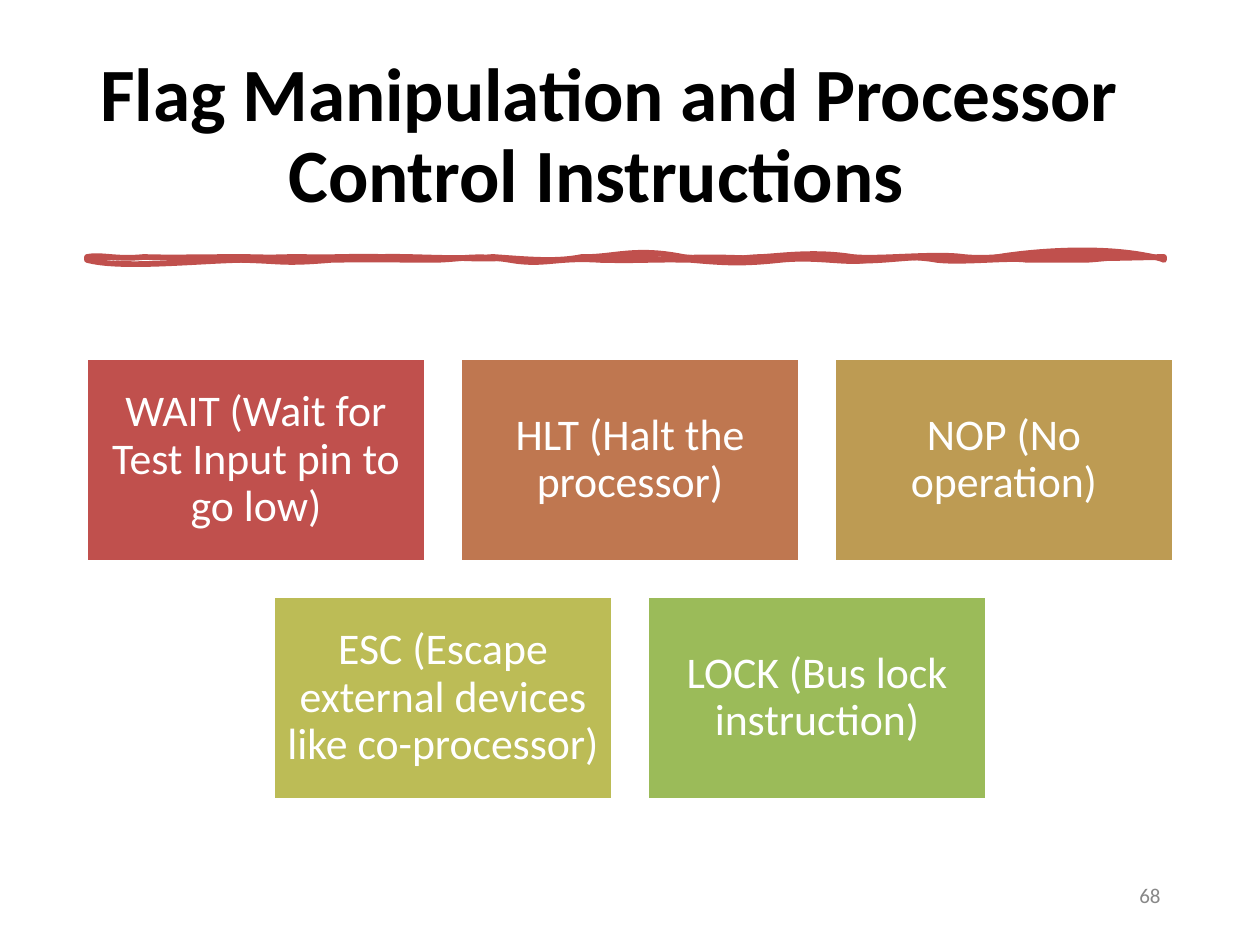
from lxml import etree
from pptx import Presentation
from pptx.dml.color import RGBColor
from pptx.enum.shapes import MSO_SHAPE
from pptx.enum.text import MSO_ANCHOR, PP_ALIGN
from pptx.oxml.ns import qn
from pptx.util import Pt

PX = 914400 / 126
RECTANGLE = MSO_SHAPE.RECTANGLE
MIDDLE = MSO_ANCHOR.MIDDLE
CENTER, RIGHT = PP_ALIGN.CENTER, PP_ALIGN.RIGHT
FONT = "Calibri"
COLORS = {
    "title": "000000", "number": "888888", "white": "FFFFFF", "red": "C0504D",
    "orange": "BF7750", "gold": "BD9B53", "olive": "BCBC56", "green": "9BBB59",
}
ROWS = [
    [("WAIT (Wait for Test Input pin to go low)", "red"),
     ("HLT (Halt the processor)", "orange"),
     ("NOP (No operation)", "gold")],
    [("ESC (Escape external devices like co-processor)", "olive"),
     ("LOCK (Bus lock instruction)", "green")],
]

# Brush edges: each curve is (control x, control dy, control x, control dy, end x)
STROKE_TOP = [
    (14, -3, 29, 3, 57), (78, 1, 123, 0, 158), (194, 1, 189, 0, 215),
    (242, 1, 271, -1, 294), (324, -1, 370, 3, 406), (446, 3, 470, 5, 495),
    (525, 1, 547, -10, 596), (639, 5, 660, 0, 675), (694, -1, 728, -6, 765),
    (790, 3, 847, -4, 876), (903, 3, 929, -3, 944), (964, 3, 1027, 1, 1077),
]
STROKE_BOTTOM = [
    (1061, -8, 1019, -1, 998), (976, 0, 959, 0, 940), (925, -3, 876, 3, 850),
    (829, -4, 806, -3, 782), (759, 4, 731, -4, 693), (655, 4, 639, 3, 604),
    (564, -1, 556, 1, 513), (469, -3, 457, 6, 423), (387, -6, 372, 0, 344),
    (318, 0, 286, -1, 244), (195, 4, 197, 1, 154), (108, 1, 33, 9, 0),
]
FILL_TOP = [
    (21, -1, 39, -1, 78), (118, -1, 113, 0, 136), (158, -3, 178, 1, 192),
    (207, -1, 231, 1, 247), (278, 1, 287, -3, 326), (364, 0, 373, -3, 406),
    (438, 5, 490, 0, 517), (552, -8, 566, 1, 585), (607, -5, 667, -1, 697),
    (732, 1, 752, 3, 808), (862, 3, 878, -3, 897), (920, -6, 1016, -18, 1077),
]
FILL_BOTTOM = [
    (1050, -3, 1037, -4, 1019), (1009, 4, 959, -6, 908), (862, 3, 866, -3, 840),
    (813, 0, 772, 8, 750), (722, -6, 677, -8, 639), (600, -1, 592, 0, 549),
    (508, 4, 520, 1, 491), (467, -1, 452, 4, 423), (396, 4, 368, -1, 312),
    (257, 1, 260, 1, 222), (185, -1, 181, -1, 154), (130, -11, 78, 1, 0),
]


def emu(px):
    return round(px * PX)


def color(name):
    return RGBColor.from_string(COLORS[name])


def style(paragraph, size, color_name, bold=False):
    paragraph.font.name = FONT
    paragraph.font.size = Pt(size)
    paragraph.font.bold = bold
    paragraph.font.color.rgb = color(color_name)


def add_text(slide, text, left, top, width, height):
    box = slide.shapes.add_textbox(emu(left), emu(top), emu(width), emu(height))
    box.text_frame.word_wrap = True
    paragraph = box.text_frame.paragraphs[0]
    paragraph.text = text
    return paragraph


def add_title(slide, left, top, width, height):
    paragraph = add_text(slide, "Flag Manipulation and Processor Control Instructions",
                         left, top, width, height)
    style(paragraph, 43, "title", bold=True)
    paragraph.line_spacing = 0.9
    # Hanging indent places the second line under the first
    properties = paragraph._p.get_or_add_pPr()
    properties.set("marL", str(emu(189)))
    properties.set("indent", str(-emu(188)))
    paragraph.runs[0]._r.get_or_add_rPr().set("spc", "-5")


def add_curve_path(path_list, width, thickness, upper, lower, **flags):
    """Add one closed outline: along the upper edge, back along the lower one."""
    path = etree.SubElement(path_list, qn("a:path"), w=str(emu(width)),
                            h=str(emu(thickness)), **flags)

    def add_command(tag, *points):
        command = etree.SubElement(path, qn(tag))
        for x, y in points:
            etree.SubElement(command, qn("a:pt"), x=str(emu(x)), y=str(emu(y)))

    add_command("a:moveTo", (0, 0))
    for y, curves in ((0, upper), (thickness, lower)):
        for x1, dy1, x2, dy2, end_x in curves:
            add_command("a:cubicBezTo", (x1, y + dy1), (x2, y + dy2), (end_x, y))
        if curves is upper:
            add_command("a:lnTo", (width, thickness))
    add_command("a:close")


def add_brush_rule(slide, left, top, width, thickness):
    builder = slide.shapes.build_freeform(emu(left), emu(top))
    builder.add_line_segments([(emu(left + width), emu(top)),
                               (emu(left + width), emu(top + thickness))])
    rule = builder.convert_to_shape()
    rule.shadow.inherit = False
    rule.fill.solid()
    rule.fill.fore_color.rgb = color("red")
    rule.line.color.rgb = color("red")
    rule.line.width = Pt(3.25)

    # Curved outlines take the place of the straight one
    path_list = rule._element.spPr.find(qn("a:custGeom")).find(qn("a:pathLst"))
    path_list.remove(path_list[0])
    add_curve_path(path_list, width, thickness, STROKE_TOP, STROKE_BOTTOM, fill="none")
    add_curve_path(path_list, width, thickness, FILL_TOP, FILL_BOTTOM, stroke="0")


def add_card(slide, text, fill_name, left, top, width, height):
    card = slide.shapes.add_shape(RECTANGLE, emu(left), emu(top), emu(width), emu(height))
    card.shadow.inherit = False
    card.fill.solid()
    card.fill.fore_color.rgb = color(fill_name)
    card.line.color.rgb = color("white")
    card.line.width = Pt(2)
    frame = card.text_frame
    frame.word_wrap = True
    frame.vertical_anchor = MIDDLE
    frame.margin_left = frame.margin_right = emu(12)
    frame.margin_top = frame.margin_bottom = emu(12)
    paragraph = frame.paragraphs[0]
    paragraph.text = text
    paragraph.alignment = CENTER
    paragraph.line_spacing = 0.9
    style(paragraph, 25, "white")


def add_card_grid(slide, left, top, width, height, gap=34):
    card_width = (width - 2 * gap) // 3
    card_height = (height - gap) // 2
    for row_index, row in enumerate(ROWS):
        # Each row is centred in the grid
        row_width = len(row) * (card_width + gap) - gap
        row_left = left + (width - row_width) // 2
        for column, (text, fill_name) in enumerate(row):
            add_card(slide, text, fill_name,
                     row_left + column * (card_width + gap),
                     top + row_index * (card_height + gap), card_width, card_height)


def add_slide_number(slide, left, top, width, height):
    paragraph = add_text(slide, "68", left, top, width, height)
    paragraph.alignment = RIGHT
    style(paragraph, 12, "number")


def main():
    presentation = Presentation()
    presentation.slide_width = emu(1260)
    presentation.slide_height = emu(945)
    slide = presentation.slides.add_slide(presentation.slide_layouts[6])
    add_title(slide, 87, 50, 1086, 183)
    add_brush_rule(slide, 87, 257, 1077, 3)
    add_slide_number(slide, 890, 876, 283, 50)
    add_card_grid(slide, 86, 358, 1088, 442)
    presentation.save("out.pptx")


if __name__ == "__main__":
    main()
